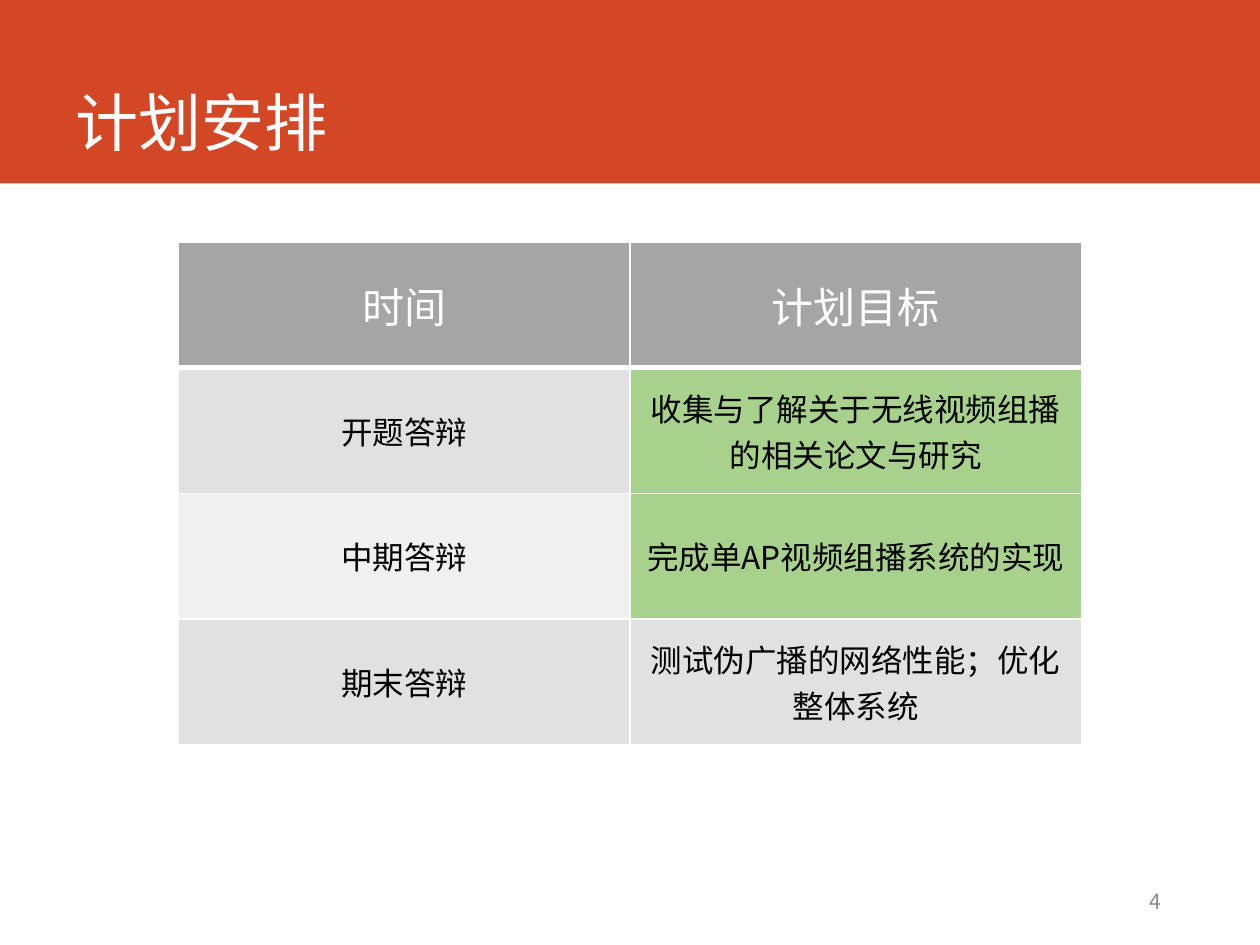
from lxml.etree import SubElement
from pptx import Presentation
from pptx.dml.color import RGBColor
from pptx.enum.shapes import MSO_SHAPE
from pptx.enum.text import MSO_ANCHOR, PP_ALIGN
from pptx.oxml.ns import qn
from pptx.util import Cm, Pt

FONT = "Noto Sans CJK SC"
COLORS = {
    "band": "D24726",
    "white": "FFFFFF",
    "black": "000000",
    "header": "A5A5A5",
    "odd": "E1E1E1",
    "even": "F0F0F0",
    "done": "A9D18E",
    "number": "8C8C8C",
}
PLAN = [
    ("时间", "计划目标"),
    ("开题答辩", "收集与了解关于无线视频组播的相关论文与研究"),
    ("中期答辩", "完成单AP视频组播系统的实现"),
    ("期末答辩", "测试伪广播的网络性能；优化整体系统"),
]
DONE_ROWS = (1, 2)


def color(name):
    return RGBColor.from_string(COLORS[name])


def write(frame, text, size, ink, align):
    frame.text = text
    frame.word_wrap = True
    para = frame.paragraphs[0]
    para.alignment = align
    span = para.runs[0]
    span.font.size = Pt(size)
    span.font.bold = False
    span.font.name = FONT
    span.font.color.rgb = color(ink)
    SubElement(span.font._element, qn("a:ea"), typeface=FONT)


def add_borders(cell, bottom_width):
    properties = cell._tc.get_or_add_tcPr()
    widths = {"a:lnL": 1, "a:lnR": 1, "a:lnT": 1, "a:lnB": bottom_width}
    for tag, width in widths.items():
        line = SubElement(properties, qn(tag), w=str(Pt(width)))
        fill = SubElement(line, qn("a:solidFill"))
        SubElement(fill, qn("a:srgbClr"), val=COLORS["white"])


def add_title_band(page, left, top, width, height):
    title = page.shapes.title
    band = page.shapes.add_shape(MSO_SHAPE.RECTANGLE, left, top, width, height)
    band.shadow.inherit = False
    band.fill.solid()
    band.fill.fore_color.rgb = color("band")
    band.line.fill.background()
    title.element.addprevious(band.element)

    title.left, title.top = left + Cm(1.27), top
    title.width, title.height = Cm(22.4), height - Cm(0.36)
    title.text_frame.vertical_anchor = MSO_ANCHOR.BOTTOM
    write(title.text_frame, "计划安排", 36, "white", PP_ALIGN.LEFT)


def cell_fill(row, column):
    if row == 0:
        return "header"
    if column == 1 and row in DONE_ROWS:
        return "done"
    return "odd" if row % 2 else "even"


def add_plan_table(page, left, top, width, height):
    table = page.shapes.add_table(len(PLAN), 2, left, top, width, height).table
    for row, texts in enumerate(PLAN):
        size, ink, bottom = (24, "white", 3) if row == 0 else (18, "black", 1)
        for column, text in enumerate(texts):
            cell = table.cell(row, column)
            add_borders(cell, bottom)
            cell.fill.solid()
            cell.fill.fore_color.rgb = color(cell_fill(row, column))
            cell.vertical_anchor = MSO_ANCHOR.MIDDLE
            write(cell.text_frame, text, size, ink, PP_ALIGN.CENTER)


def add_page_number(page, left, top, width, height):
    box = page.shapes.add_textbox(left, top, width, height)
    box.text_frame.vertical_anchor = MSO_ANCHOR.MIDDLE
    write(box.text_frame, "4", 12, "number", PP_ALIGN.RIGHT)


def main():
    deck = Presentation()
    deck.slide_width, deck.slide_height = Cm(25.4), Cm(19.05)
    page = deck.slides.add_slide(deck.slide_layouts[5])
    add_title_band(page, 0, 0, deck.slide_width, Cm(3.7))
    add_plan_table(page, Cm(3.6), Cm(4.88), Cm(18.2), Cm(10.13))
    add_page_number(page, Cm(16.82), Cm(17.65), Cm(6.83), Cm(1.02))
    deck.save("out.pptx")


if __name__ == "__main__":
    main()
